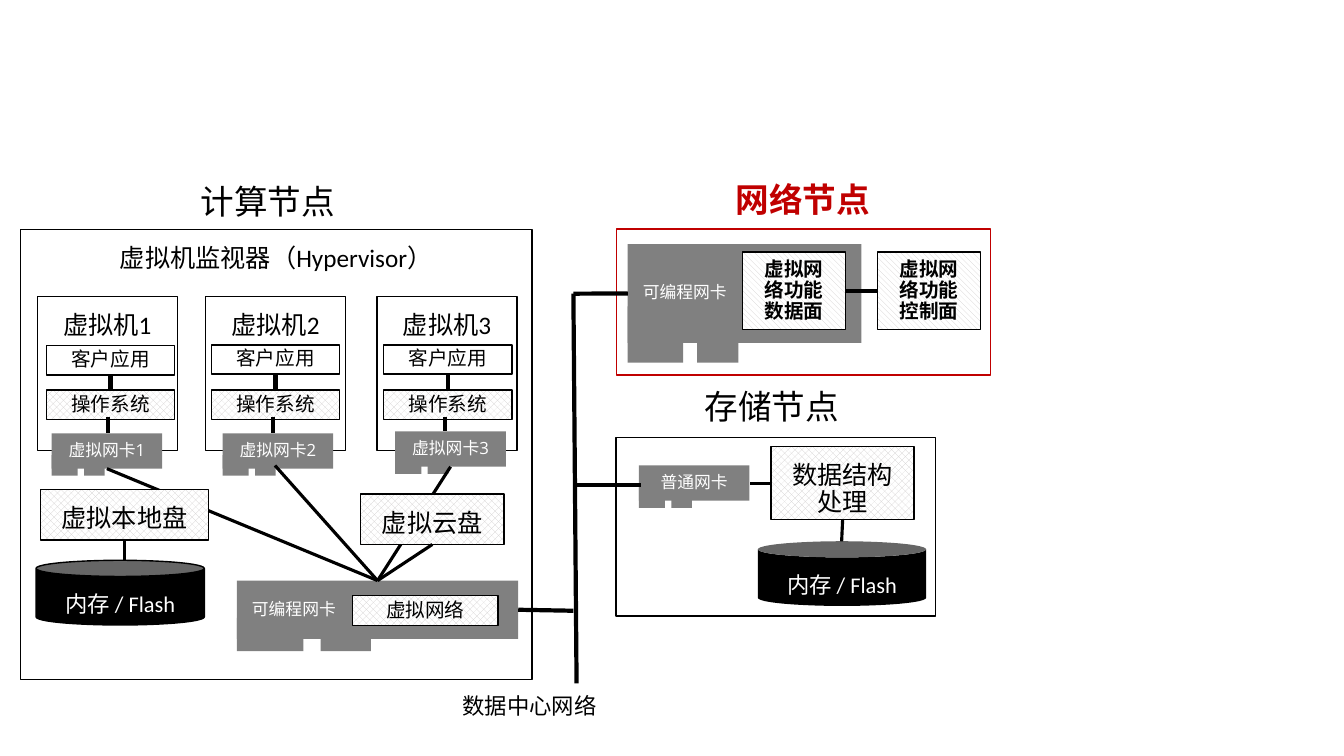
"""Build the slide of compute, network and storage nodes joined by the data centre network."""
from dataclasses import dataclass

from lxml import etree
from pptx import Presentation
from pptx import util as u
from pptx.dml.color import RGBColor
from pptx.enum import dml, shapes, text


@dataclass(frozen=True)
class Theme:
    black: str = "000000"
    white: str = "FFFFFF"
    grey: str = "808080"
    hatch: str = "D0CECE"
    red: str = "C00000"
    body_font: str = "Calibri"
    card_font: str = "Open Sans"
    heading: int = 24
    title: int = 18
    note: int = 16
    label: int = 14
    card: int = 12


theme = Theme()
RECT = shapes.MSO_SHAPE.RECTANGLE
CAN = shapes.MSO_SHAPE.CAN
DOTS = dml.MSO_PATTERN.PERCENT_50
STRIPES = dml.MSO_PATTERN.WIDE_DOWNWARD_DIAGONAL
TOP, MIDDLE = text.MSO_ANCHOR.TOP, text.MSO_ANCHOR.MIDDLE
LEFT, CENTER = text.PP_ALIGN.LEFT, text.PP_ALIGN.CENTER

deck = Presentation()
deck.slide_width, deck.slide_height = u.Cm(33.87), u.Cm(19.05)
slide = deck.slides.add_slide(deck.slide_layouts[6])


def box(place, label="", size=theme.title, kind=RECT, fill=theme.white, line=theme.black,
        color=theme.black, font=theme.body_font, bold=False, anchor=TOP, align=CENTER,
        inset=(0.51, 0.41)):
    """Add a shape, or a text box when kind is None, with its label."""
    place = [u.Cm(length) for length in place]
    if kind is None:
        part = slide.shapes.add_textbox(*place)
    else:
        part = slide.shapes.add_shape(kind, *place)
        part.shadow.inherit = False
        if fill in (DOTS, STRIPES):
            part.fill.patterned()
            part.fill.pattern = fill
            part.fill.fore_color.rgb = RGBColor.from_string(theme.hatch)
            part.fill.back_color.rgb = RGBColor.from_string(theme.white)
        else:
            part.fill.solid()
            part.fill.fore_color.rgb = RGBColor.from_string(fill)
        if line:
            part.line.color.rgb = RGBColor.from_string(line)
            part.line.width = u.Pt(1)
        else:
            part.line.fill.background()
    if label:
        frame = part.text_frame
        frame.word_wrap = kind is not None
        frame.vertical_anchor = anchor
        frame.margin_left = frame.margin_right = u.Cm(inset[0])
        frame.margin_top = frame.margin_bottom = u.Cm(inset[1])
        paragraph = frame.paragraphs[0]
        paragraph.alignment = align
        paragraph.line_spacing = 0.9
        run = paragraph.add_run()
        run.text = label
        run.font.size, run.font.name, run.font.bold = u.Pt(size), font, bold
        run.font.color.rgb = RGBColor.from_string(color)
    return part


def link(start, end, weight):
    """Draw a line between two ends, each a point or a (shape, side) pair."""
    glued = [not isinstance(place[0], (int, float)) for place in (start, end)]
    points = [(0, 0) if fixed else place for fixed, place in zip(glued, (start, end))]
    wire = slide.shapes.add_connector(
        shapes.MSO_CONNECTOR.STRAIGHT, *[u.Cm(length) for point in points for length in point])
    if glued[0]:
        wire.begin_connect(*start)
    if glued[1]:
        wire.end_connect(*end)
    wire.line.color.rgb = RGBColor.from_string(theme.black)
    wire.line.width = u.Pt(weight)
    etree.SubElement(wire._element.spPr,
                     "{http://schemas.openxmlformats.org/drawingml/2006/main}effectLst")


box((0.51, 5.79, 12.9, 11.33), "虚拟机监视器（Hypervisor）")
machine_lefts = (0.94, 5.18, 9.5)
for number, left in enumerate(machine_lefts, 1):
    box((left, 7.47, 3.53, 3.89), f"虚拟机{number}")
box((15.52, 11.02, 8.05, 4.5))
box((15.54, 5.77, 9.42, 3.68), line=theme.red)

small_feet = ((0, 0.55, 0.66, 0.52), (0.82, 0.54, 0.52, 0.53))
small = (2.79, 0.89)
cards = []
for label, left, top, extent, feet, align, side_inset in (
    ("虚拟网卡1", 1.3, 10.92, small, small_feet, CENTER, 0.1),
    ("虚拟网卡2", 5.61, 10.92, small, small_feet, CENTER, 0.1),
    ("虚拟网卡3", 9.96, 10.87, small, small_feet, CENTER, 0.1),
    ("普通网卡", 16.1, 11.73, small, small_feet, CENTER, 0.1),
    ("可编程网卡", 5.97, 14.63, (7.09, 1.47),
     ((0, 0.94, 1.68, 0.84), (2.11, 0.89, 1.27, 0.89)), LEFT, 0.38),
    ("可编程网卡", 15.82, 6.15, (5.89, 2.49),
     ((0, 1.57, 1.4, 1.42), (1.75, 1.5, 1.04, 1.49)), LEFT, 0.38),
):
    for dx, dy, width, height in feet:
        box((left + dx, top + dy, width, height), fill=theme.grey, line=None)
    cards.append(box((left, top, *extent), label, theme.card, fill=theme.grey, line=None,
                     color=theme.white, font=theme.card_font, anchor=MIDDLE, align=align,
                     inset=(side_inset, 0.1)))
virtual_cards = cards[:3]
storage_card, compute_card, network_card = cards[3:]

for start in ((virtual_cards[0], 2), (6.93, 11.73), (virtual_cards[2], 2)):
    link(start, (compute_card, 0), 2.25)

for left, top, card_top in ((1.17, 8.71, 10.92), (5.33, 8.69, 10.92), (9.67, 8.69, 10.87)):
    guest_app = box((left, top, 3.23, 0.74), "客户应用", theme.label, anchor=MIDDLE)
    guest_os = box((left, 9.83, 3.23, 0.74), "操作系统", theme.label, fill=DOTS, anchor=MIDDLE)
    link((guest_app, 2), (guest_os, 0), 3)
    link((left + 1.55, 10.5), (left + 1.55, card_top), 3)

box((8.89, 15.01, 3.66, 0.76), "虚拟网络", theme.label, fill=DOTS, anchor=MIDDLE)
local_disk = box((1.02, 12.34, 4.24, 1.27), "虚拟本地盘", fill=DOTS)
cloud_disk = box((9.09, 12.45, 3.61, 1.27), "虚拟云盘", fill=DOTS)
data_structures = box((19.43, 11.25, 3.61, 1.85), "数据结构处理", fill=DOTS)
data_plane, control_plane = [
    box((left, 6.35, 2.59, 1.96), label, theme.label, fill=STRIPES, bold=True, anchor=MIDDLE)
    for left, label in ((18.72, "虚拟网络功能数据面"), (22.12, "虚拟网络功能控制面"))
]
for left, top, line in ((0.91, 14.12, theme.black), (19.1, 13.64, None)):
    box((left, top, 4.24, 1.63), "内存 / Flash", theme.note, kind=CAN, fill=theme.black,
        line=line, color=theme.white)

for start, end, weight in (
    ((cloud_disk, 2), (compute_card, 0), 2.25),
    ((local_disk, 2), (3.14, 14.12), 2.25),
    ((data_structures, 1), (storage_card, 3), 2.25),
    ((data_structures, 2), (21.21, 13.64), 2.25),
    ((data_plane, 3), (control_plane, 1), 3),
    ((14.45, 7.4), (14.53, 17.22), 3),
    ((compute_card, 3), (14.45, 15.39), 3),
    ((14.53, 12.22), (16.15, 12.22), 3),
    ((14.45, 7.4), (network_card, 1), 3),
):
    link(start, end, weight)

for label, left, top, height, size, color, bold in (
    ("计算节点", 4.55, 4.27, 1.75, theme.heading, theme.black, False),
    ("网络节点", 18.03, 4.22, 1.75, theme.heading, theme.red, True),
    ("存储节点", 17.25, 9.42, 1.75, theme.heading, theme.black, False),
    ("数据中心网络", 11.15, 17.22, 1.45, theme.note, theme.black, False),
):
    caption = box((left, top, 4.45, height), label, size, kind=None, color=color, bold=bold,
                  align=LEFT)
    caption.text_frame.auto_size = text.MSO_AUTO_SIZE.SHAPE_TO_FIT_TEXT
    caption.text_frame.paragraphs[0].space_after = u.Pt(6)

deck.save("out.pptx")
